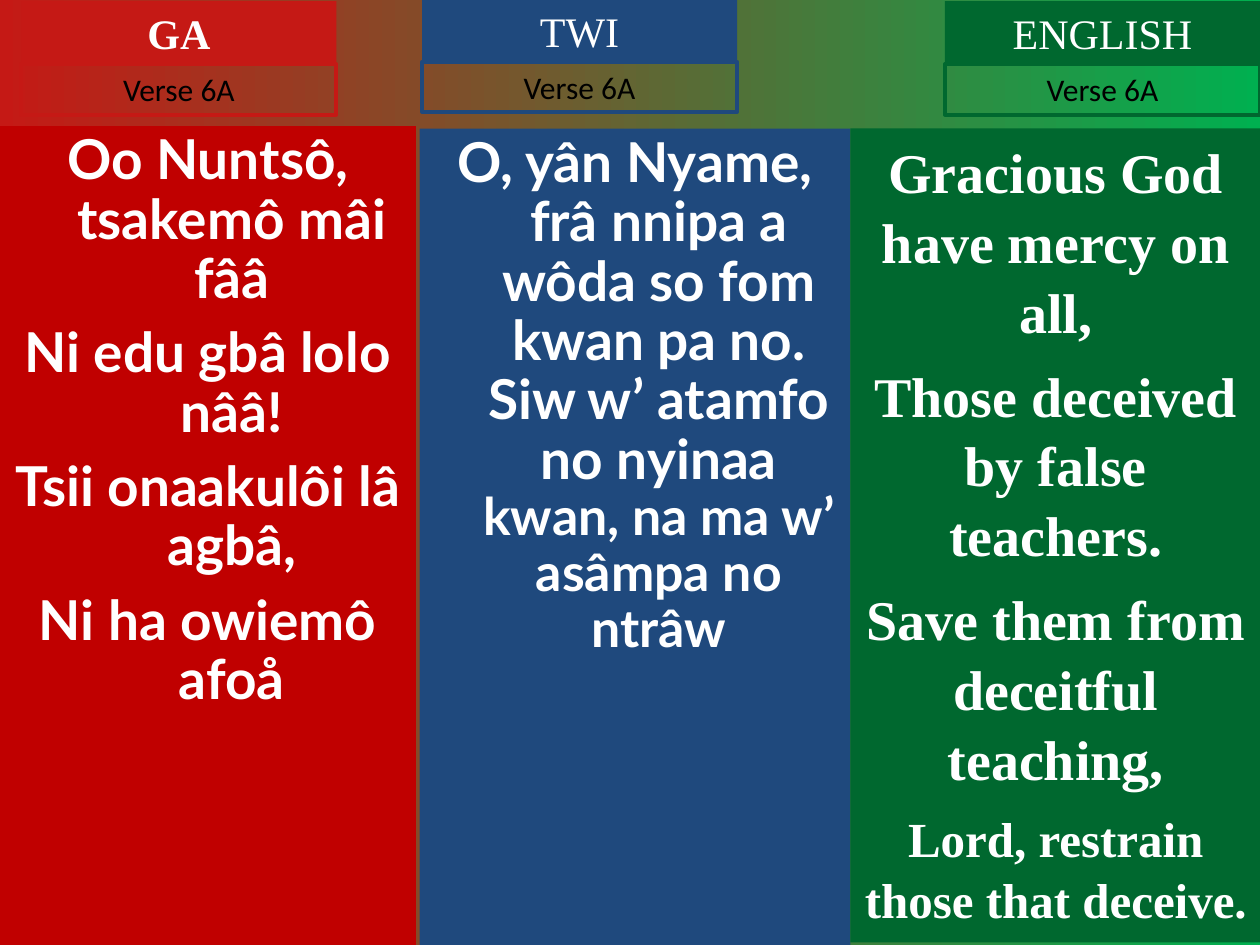
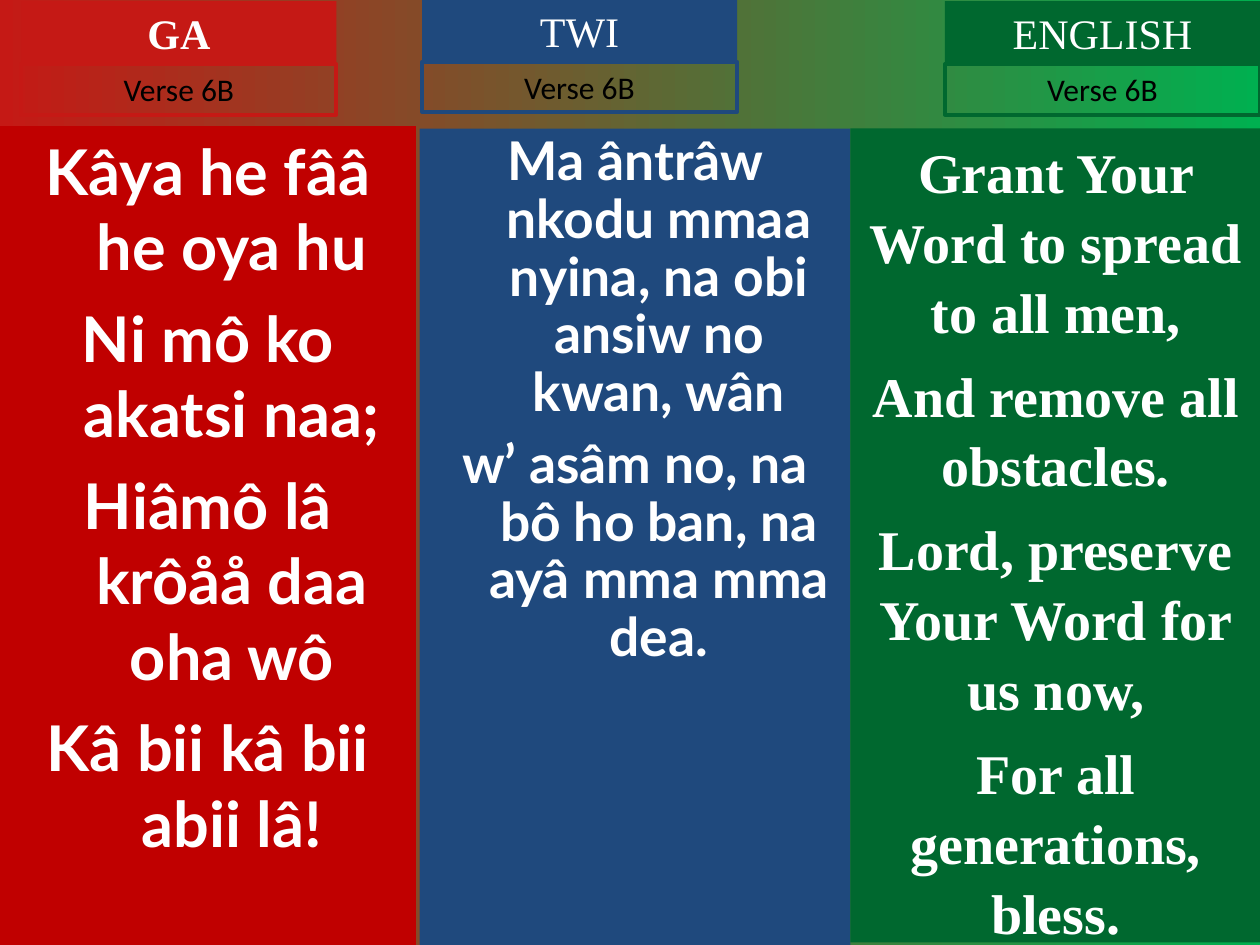
from dataclasses import dataclass
from lxml import etree
from pptx import Presentation
from pptx.dml.color import RGBColor
from pptx.enum.shapes import MSO_SHAPE
from pptx.enum.text import MSO_ANCHOR, MSO_AUTO_SIZE, PP_ALIGN
from pptx.oxml.ns import qn
from pptx.util import Inches, Pt

RECT = MSO_SHAPE.RECTANGLE
TOP, MIDDLE = MSO_ANCHOR.TOP, MSO_ANCHOR.MIDDLE
FIXED = MSO_AUTO_SIZE.NONE
CENTER = PP_ALIGN.CENTER

BRICK = RGBColor(0xC5, 0x19, 0x15)
RED = RGBColor(0xC0, 0x00, 0x00)
BLUE = RGBColor(0x1F, 0x49, 0x7D)
GREEN = RGBColor(0x00, 0x68, 0x2F)
LIME = RGBColor(0x00, 0xB0, 0x50)
WHITE = RGBColor(0xFF, 0xFF, 0xFF)
BLACK = RGBColor(0x00, 0x00, 0x00)

SERIF, SANS, LATO = "Times New Roman", "Calibri", "Lato"
WIDE, HIGH = Inches(10), Inches(7.5)
UNIT = WIDE / 100
HANG = Inches(0.38)
HEAD_W, HEAD_H, TAG_H = 25, 5, 4


@dataclass
class Column:
    name: str
    head: tuple
    box: tuple
    fill: RGBColor
    trim: RGBColor
    font: str
    hang: int = 0
    bold: bool = False


@dataclass
class Verse:
    lines: list
    space: float
    pitch: float


COLUMNS = [
    Column("GA", (1.7, 0.1), (0, 10, 33, 65), RED, BRICK, LATO, HANG, True),
    Column("TWI", (33.5, -0.1), (33.3, 10.2, 34.2, 64.8), BLUE, BLUE, LATO, HANG),
    Column("ENGLISH", (75, 0.1), (67.5, 10.2, 32.6, 64.6), GREEN, GREEN, SERIF),
]


def plain(size, *texts):
    return [[(text, size)] for text in texts]


SLIDES = {
    "Verse 6A": [
        Verse(plain(31.4, "Oo Nuntsô, tsakemô mâi fââ", "Ni edu gbâ lolo nââ!",
                    "Tsii onaakulôi lâ agbâ,", "Ni ha owiemô afoå"), 8.5, 0.9),
        Verse([[("O, yân Nyame, frâ nnipa a wôda so fom kwan pa no. "
                 "Siw w’ atamfo no nyinaa ", 31.4),
                ("kwan, na ma w’ asâmpa no ntrâw", 29.6)]], 8, 0.9),
        Verse(plain(32, "Gracious God have mercy on all,",
                    "Those deceived by false teachers.",
                    "Save them from deceitful teaching,")
              + plain(28, "Lord, restrain those that deceive."), 8, 1.04),
    ],
    "Verse 6B": [
        Verse(plain(36, "Kâya he fââ he oya hu", "Ni mô ko akatsi naa;",
                    "Hiâmô lâ krôåå daa oha wô", "Kâ bii kâ bii abii lâ!"), 9, 1),
        Verse(plain(30.5, "Ma ântrâw nkodu mmaa nyina, na obi ansiw no kwan, wân",
                    "w’ asâm no, na bô ho ban, na ayâ mma mma dea."), 8.2, 0.9),
        Verse(plain(32, "Grant Your Word to spread to all men,",
                    "And remove all obstacles.",
                    "Lord, preserve Your Word for us now,",
                    "For all generations, bless."), 8, 1.04),
    ],
}


def place(slide, box, holder=None, fill=None, line=None, anchor=MIDDLE):
    left, top, width, height = (round(n * UNIT) for n in box)
    if holder is None:
        shape = slide.shapes.add_shape(RECT, left, top, width, height)
        shape.shadow.inherit = False
    else:
        shape = holder
        shape.left, shape.top = left, top
        shape.width, shape.height = width, height
    if fill is None:
        shape.fill.background()
    else:
        shape.fill.solid()
        shape.fill.fore_color.rgb = fill
    if line is None:
        shape.line.fill.background()
    else:
        shape.line.color.rgb = line
        shape.line.width = Pt(2.25)
    frame = shape.text_frame
    frame.word_wrap = True
    frame.auto_size = FIXED
    frame.vertical_anchor = anchor
    return frame


def style(run, font, size, color, bold=False):
    run.font.name = font
    run.font.size = Pt(size)
    run.font.color.rgb = color
    run.font.bold = bold


def label(frame, text, font, size, color, bold=False):
    frame.text = text
    para = frame.paragraphs[0]
    para.alignment = CENTER
    style(para.runs[0], font, size, color, bold)


def add_head(slide, col, tag, holder):
    left, top = col.head
    frame = place(slide, (left, top, HEAD_W, HEAD_H), holder, fill=col.trim)
    label(frame, col.name, SERIF, 24, WHITE, col.bold)
    frame = place(slide, (left, top + HEAD_H, HEAD_W, TAG_H), line=col.trim)
    label(frame, tag, SANS, 18, BLACK)


def add_verse(slide, col, verse, holder):
    frame = place(slide, col.box, holder, fill=col.fill, anchor=TOP)
    for i, line in enumerate(verse.lines):
        para = frame.add_paragraph() if i else frame.paragraphs[0]
        props = para._p.get_or_add_pPr()
        props.set("marL", str(col.hang))
        props.set("indent", str(-col.hang))
        etree.SubElement(props, qn("a:buNone"))
        para.alignment = CENTER
        para.line_spacing = verse.pitch
        para.space_before = Pt(verse.space if i else 0)
        for text, size in line:
            run = para.add_run()
            run.text = text
            style(run, col.font, size, WHITE, True)


def add_slide(deck, tag, verses):
    slide = deck.slides.add_slide(deck.slide_layouts.get_by_name("Two Content"))
    title, *bodies = slide.placeholders
    heads = [title, None, None]
    for col, verse, head, body in zip(COLUMNS, verses, heads, bodies + [None]):
        add_verse(slide, col, verse, body)
        add_head(slide, col, tag, head)


def main():
    deck = Presentation()
    deck.slide_width, deck.slide_height = WIDE, HIGH
    fill = deck.slide_master.background.fill
    fill.gradient()
    fill.gradient_angle = 0
    for stop, color in zip(fill.gradient_stops, (BRICK, LIME)):
        stop.color.rgb = color
    for tag, verses in SLIDES.items():
        add_slide(deck, tag, verses)
    deck.save("out.pptx")


if __name__ == "__main__":
    main()
